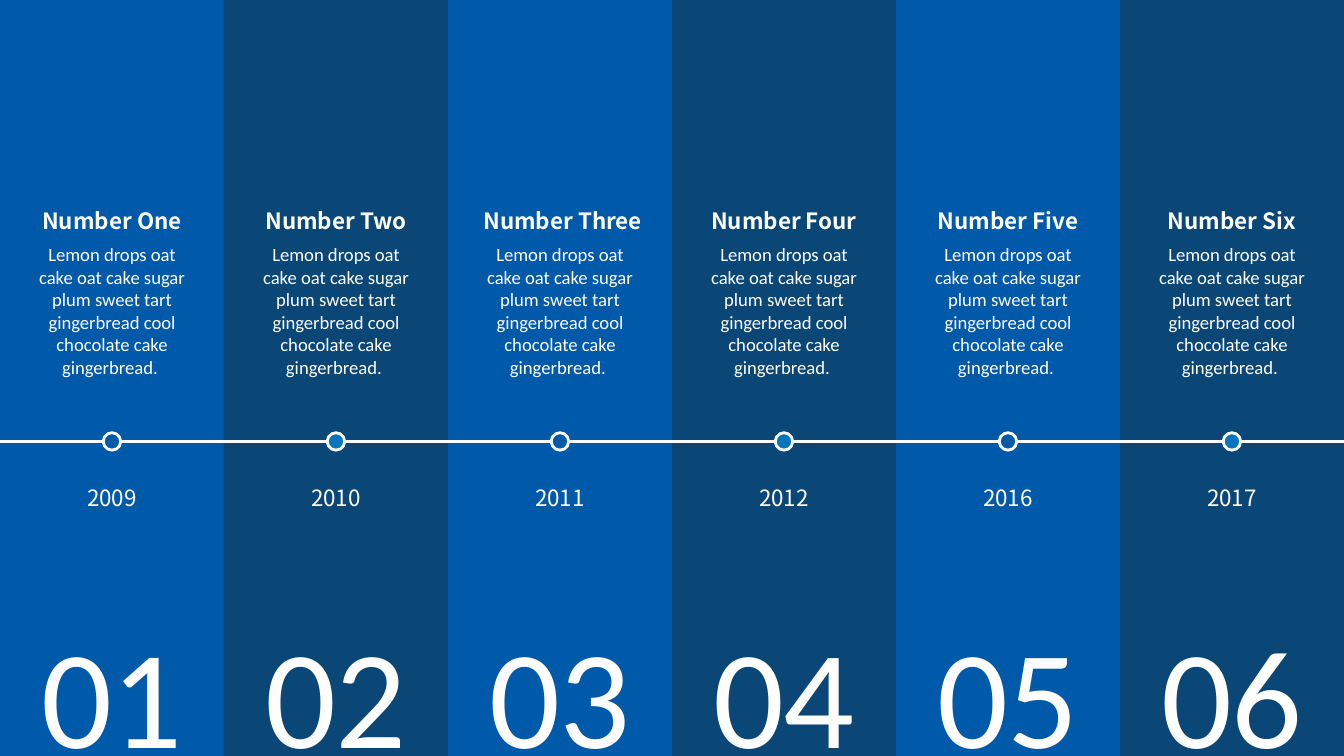
import dataclasses

import pptx
import pptx.dml.color
import pptx.enum.shapes
import pptx.enum.text
import pptx.oxml.ns
import pptx.util
from lxml import etree

Inches = pptx.util.Inches
Pt = pptx.util.Pt
Shape = pptx.enum.shapes.MSO_SHAPE

WIDE = 10
HIGH = WIDE * 9 / 16
DOT = 0.13
LINE_Y = 3.22 + DOT / 2
WHITE = "FFFFFF"
HEAD_FONT = "Noto Sans CJK SC"
BODY_FONT = "Calibri"
BODY = ("Lemon drops oat cake oat cake sugar plum sweet tart "
        "gingerbread cool chocolate cake gingerbread. ")


@dataclasses.dataclass
class Step:
    title: str
    year: str
    width: float = 1.17   # title box width
    shift: float = 0      # title offset from the column centre


STEPS = [
    Step("Number One", "2009"),
    Step("Number Two", "2010"),
    Step("Number Three", "2011", 1.38, 0.02),
    Step("Number Four", "2012"),
    Step("Number Five", "2016"),
    Step("Number Six", "2017"),
]
COL = WIDE / len(STEPS)
BANDS = ["0059A9", "0A4776"]
DOTS = ["0059A9", "0576BD"]


def color(code: str) -> pptx.dml.color.RGBColor:
    return pptx.dml.color.RGBColor.from_string(code)


def add_shape(slide, kind, left: float, top: float, width: float,
              height: float, fill: str, line: str = ""):
    shape = slide.shapes.add_shape(
        kind, Inches(left), Inches(top), Inches(width), Inches(height))
    shape.shadow.inherit = False
    shape.fill.solid()
    shape.fill.fore_color.rgb = color(fill)
    if line:
        shape.line.color.rgb = color(line)
        shape.line.width = Pt(1.5)
    else:
        shape.line.fill.background()
    return shape


def add_text(slide, text: str, mid: float, top: float, width: float,
             height: float, *, size: float, font: str, bold: bool = False,
             inset: tuple = (0, 0), space: float = 1.0):
    """Add centred white text in a box whose middle is at mid."""
    box = slide.shapes.add_textbox(
        Inches(mid - width / 2), Inches(top), Inches(width), Inches(height))
    frame = box.text_frame
    frame.word_wrap = True
    frame.margin_left = frame.margin_right = Inches(inset[0])
    frame.margin_top = frame.margin_bottom = Inches(inset[1])
    para = frame.paragraphs[0]
    para.alignment = pptx.enum.text.PP_ALIGN.CENTER
    para.line_spacing = space
    run = para.add_run()
    run.text = text
    run.font.size = Pt(size)
    run.font.name = font
    run.font.bold = bold
    run.font.color.rgb = color(WHITE)
    return box


def add_line(slide, y: float):
    line = slide.shapes.add_connector(
        pptx.enum.shapes.MSO_CONNECTOR.STRAIGHT,
        Inches(0), Inches(y), Inches(WIDE), Inches(y))
    line.line.color.rgb = color(WHITE)
    line.line.width = Pt(1.5)
    props = line._element.spPr
    etree.SubElement(props, pptx.oxml.ns.qn("a:effectLst"))
    return line


def add_step(slide, index: int, step: Step) -> None:
    mid = (index + 0.5) * COL
    pad = (0.07, 0.04)
    add_shape(slide, Shape.OVAL, mid - DOT / 2, LINE_Y - DOT / 2, DOT, DOT,
              DOTS[index % 2], WHITE)
    add_text(slide, step.title, mid + step.shift, 1.56, step.width, 0.25,
             size=12, font=HEAD_FONT, bold=True, space=0.9)
    add_text(slide, BODY, mid, 1.81, 1.17, 0.77, size=10, font=BODY_FONT)
    add_text(slide, step.year, mid, 3.56, 1.23, 0.28,
             size=12, font=HEAD_FONT, inset=pad)
    add_text(slide, f"{index + 1:02d}", mid, 4.49, COL, 1.34,
             size=75, font=BODY_FONT, inset=pad)


def main() -> None:
    deck = pptx.Presentation()
    deck.slide_width = Inches(WIDE)
    deck.slide_height = Inches(HIGH)
    slide = deck.slides.add_slide(deck.slide_layouts[6])

    # Column bands
    for index in range(len(STEPS)):
        add_shape(slide, Shape.RECTANGLE, index * COL, 0, COL, HIGH,
                  BANDS[index % 2])

    # Time line and its steps
    add_line(slide, LINE_Y)
    for index, step in enumerate(STEPS):
        add_step(slide, index, step)

    deck.save("out.pptx")


if __name__ == "__main__":
    main()
